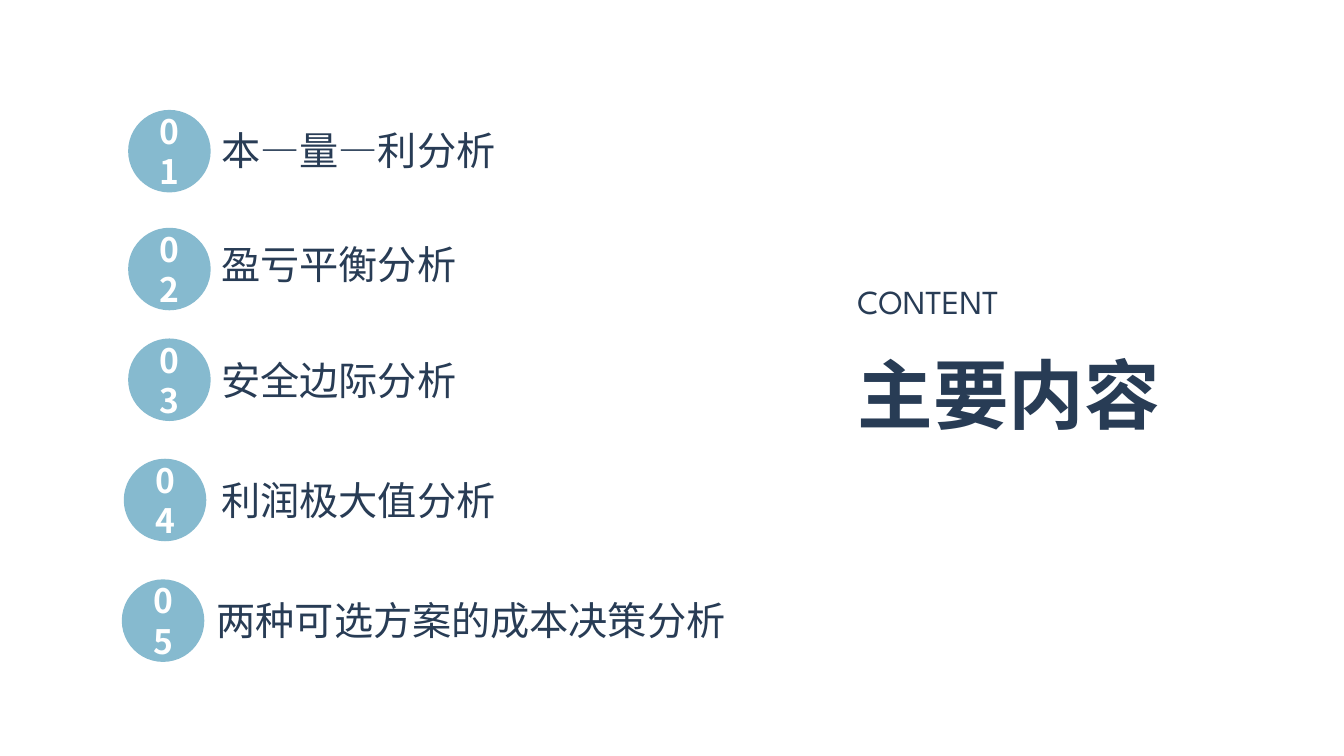
from dataclasses import dataclass

from pptx import Presentation
from pptx.dml.color import RGBColor
from pptx.enum.shapes import MSO_SHAPE
from pptx.enum.text import MSO_ANCHOR, MSO_AUTO_SIZE, PP_ALIGN
from pptx.oxml.ns import qn
from pptx.shapes.autoshape import Shape
from pptx.slide import Slide
from pptx.util import Cm, Pt

NAVY, BLUE, WHITE = "283C55", "86BACF", "FFFFFF"
CJK, LATIN = "Noto Sans CJK SC", "League Spartan"
DIAMETER, TOPIC_HEIGHT = 2.08, 1.45


@dataclass(frozen=True)
class Topic:
    text: str
    left: float
    top: float
    width: float
    circle_left: float
    circle_top: float


TOPICS = [
    Topic("本—量—利分析", 5.33, 3.07, 16.38, 3.23, 2.77),
    Topic("盈亏平衡分析", 5.33, 5.92, 16.15, 3.23, 5.74),
    Topic("安全边际分析", 5.33, 8.86, 16.38, 3.23, 8.53),
    Topic("利润极大值分析", 5.33, 11.89, 16.38, 3.12, 11.56),
    Topic("两种可选方案的成本决策分析", 5.21, 14.91, 16.81, 3.07, 14.6),
]


def rgb(value: str) -> RGBColor:
    return RGBColor.from_string(value)


def write(sp: Shape, text: str, size: float, color: str = NAVY,
          font: str = CJK, bold: bool = False,
          align: PP_ALIGN = PP_ALIGN.LEFT) -> None:
    tf = sp.text_frame
    tf.word_wrap = True
    p = tf.paragraphs[0]
    p.alignment = align
    r = p.add_run()
    r.text = text
    for name, value in {"size": Pt(size), "bold": bold, "name": font}.items():
        setattr(r.font, name, value)
    r.font.color.rgb = rgb(color)
    ea = r.font._element.makeelement(qn("a:ea"), {"typeface": font})
    r.font._element.find(qn("a:latin")).addnext(ea)


def fit_from_top(sp: Shape) -> None:
    settings = {"auto_size": MSO_AUTO_SIZE.SHAPE_TO_FIT_TEXT,
                "vertical_anchor": MSO_ANCHOR.TOP}
    for name, value in settings.items():
        setattr(sp.text_frame, name, value)


def add_title(s: Slide) -> None:
    sp = s.shapes.title
    place = {"left": 21.36, "top": 8.64, "width": 8.69, "height": 2.57}
    for name, value in place.items():
        setattr(sp, name, Cm(value))
    write(sp, "主要内容", 54, bold=True, align=PP_ALIGN.JUSTIFY)
    fit_from_top(sp)


def add_label(s: Slide, left: float, top: float, width: float,
              height: float) -> Shape:
    sp = s.shapes.add_textbox(Cm(left), Cm(top), Cm(width), Cm(height))
    fit_from_top(sp)
    return sp


def add_topic(s: Slide, number: int, topic: Topic) -> None:
    label = add_label(s, topic.left, topic.top, topic.width, TOPIC_HEIGHT)
    write(label, topic.text, 28)
    sp = s.shapes.add_shape(MSO_SHAPE.OVAL, Cm(topic.circle_left),
                            Cm(topic.circle_top), Cm(DIAMETER), Cm(DIAMETER))
    sp.shadow.inherit = False
    sp.fill.solid()
    sp.fill.fore_color.rgb = rgb(BLUE)
    sp.line.fill.background()
    sp.text_frame.vertical_anchor = MSO_ANCHOR.MIDDLE
    write(sp, f"{number:02d}", 24, WHITE, bold=True, align=PP_ALIGN.CENTER)


def main() -> None:
    prs = Presentation()
    prs.slide_width, prs.slide_height = Cm(33.87), Cm(19.05)
    s = prs.slides.add_slide(prs.slide_layouts[5])
    s.background.fill.solid()
    s.background.fill.fore_color.rgb = rgb(WHITE)
    add_title(s)
    content = add_label(s, 21.36, 6.96, 8.23, 1.27)
    write(content, "CONTENT", 24, font=LATIN, align=PP_ALIGN.JUSTIFY)
    for number, topic in enumerate(TOPICS, 1):
        add_topic(s, number, topic)
    prs.save("out.pptx")


if __name__ == "__main__":
    main()
